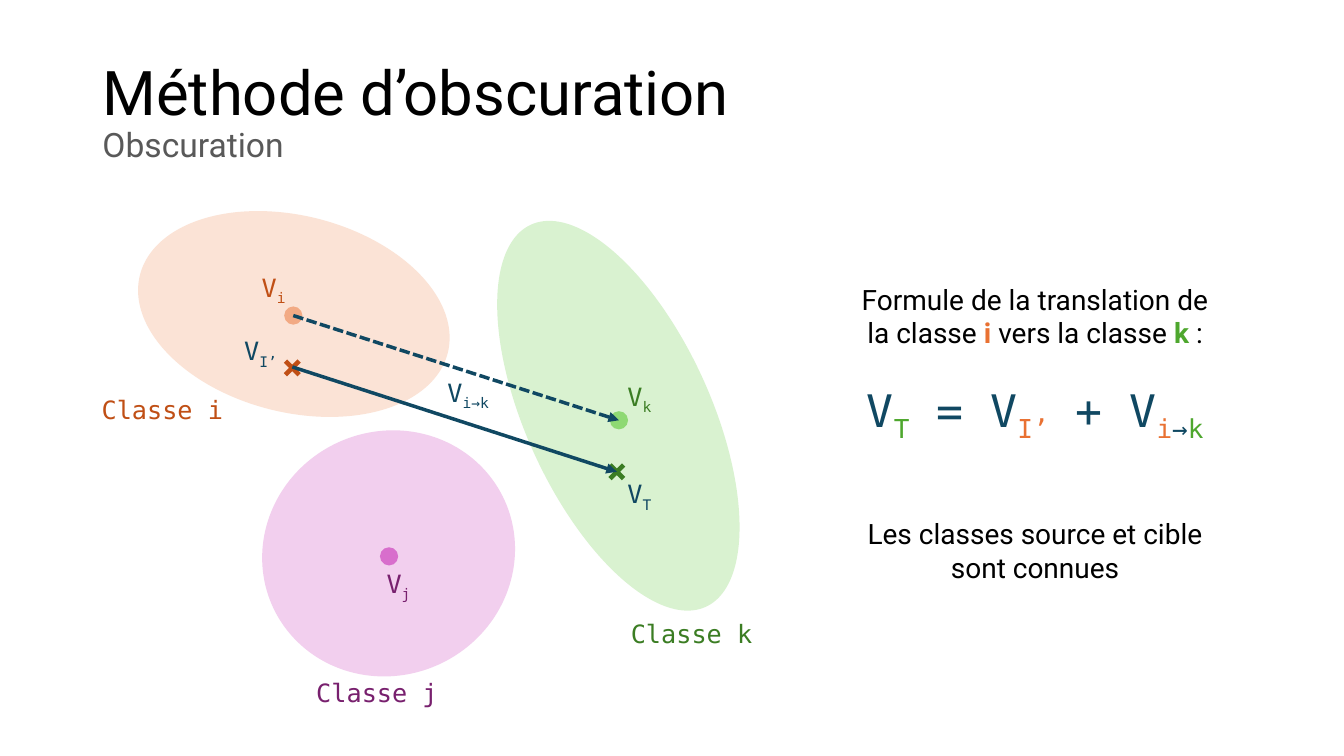
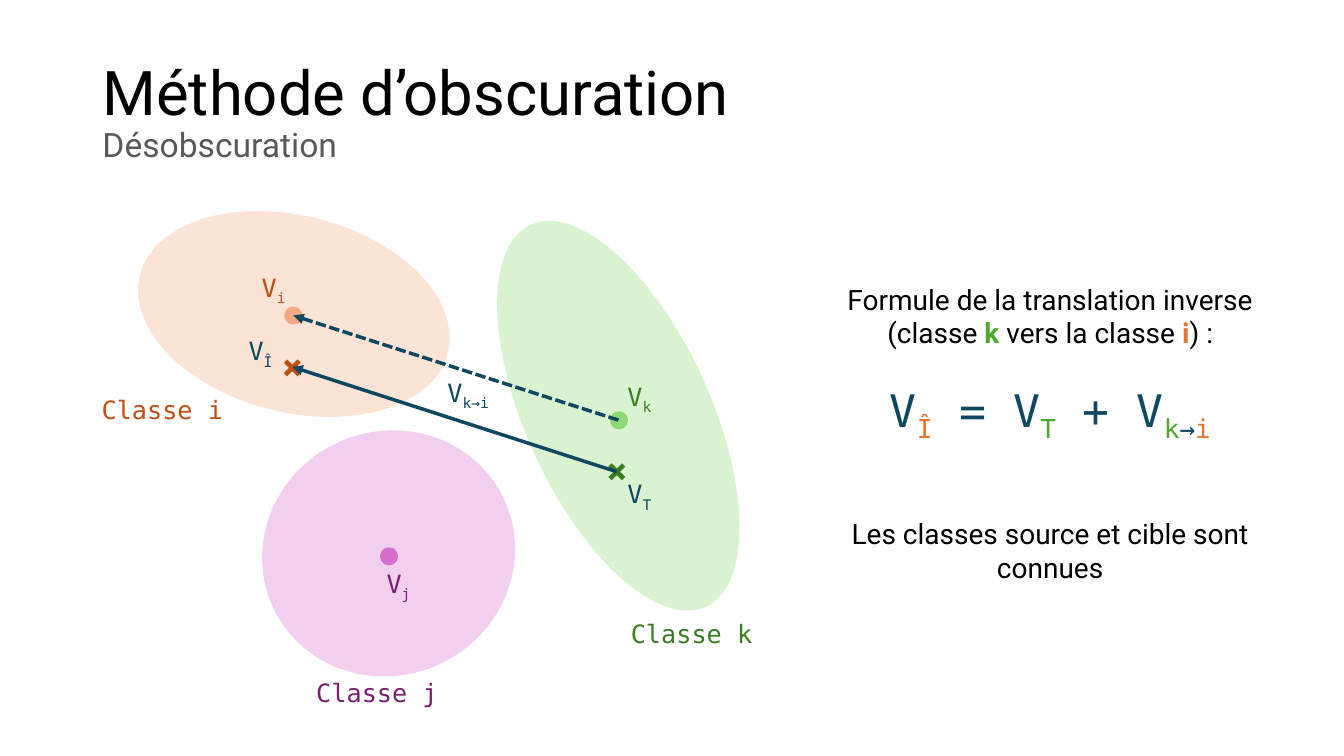
"""Build two slides on moving vectors between classes."""
import pptx
import pptx.dml.color
import pptx.enum.dml
import pptx.enum.shapes
import pptx.enum.text
import pptx.oxml
import pptx.oxml.ns
import pptx.util

Pt = pptx.util.Pt
Color = pptx.dml.color.RGBColor
Kind = pptx.enum.shapes.MSO_SHAPE
Align = pptx.enum.text.PP_ALIGN
Fit = pptx.enum.text.MSO_AUTO_SIZE

BLACK = Color(0x00, 0x00, 0x00)
GREY = Color(0x59, 0x59, 0x59)
NAVY = Color(0x10, 0x48, 0x62)
ORANGE = Color(0xE9, 0x71, 0x32)
RUST = Color(0xC0, 0x4F, 0x15)
PEACH = Color(0xF2, 0xAA, 0x84)
CREAM = Color(0xFB, 0xE3, 0xD6)
GREEN = Color(0x4E, 0xA7, 0x2E)
MOSS = Color(0x3B, 0x7D, 0x23)
LIME = Color(0x8E, 0xD9, 0x73)
MINT = Color(0xD9, 0xF2, 0xD0)
PLUM = Color(0x78, 0x20, 0x6E)
PINK = Color(0xD8, 0x6E, 0xCC)
ROSE = Color(0xF2, 0xCF, 0xEE)

SANS = "Roboto"
MONO = "DejaVu Sans Mono"
HUES = {"i": ORANGE, "k": GREEN}

# name, zone box, turn, zone fill, dot centre, dot fill, ink, vector label, class label
CLASSES = [
    ("i", (96.5, 154.1, 226.8, 140.4), 14.2, CREAM, (209.5, 225.4), PEACH,
     RUST, (164.2, 190.8), (59.8, 277.9)),
    ("j", (186.5, 308.2, 182.2, 174.2), 333.6, ROSE, (277.9, 397.4), PINK,
     PLUM, (253.4, 402.5), (213.1, 480.2)),
    ("k", (291.6, 231.1, 300.2, 131.8), 65.4, MINT, (442.1, 300.2), LIME,
     MOSS, (425.5, 268.6), (437.8, 437.8)),
]


def write(par, text, font=SANS, size=20, color=BLACK, bold=False, sub=False):
    """Add a formatted run to a paragraph."""
    run = par.add_run()
    run.text = text
    run.font.name = font
    run.font.size = Pt(size)
    run.font.color.rgb = color
    run.font.bold = bold
    if sub:
        run.font._element.set("baseline", "-25000")


class Deck:
    """Hold the style and the current slide."""

    def __init__(self):
        """Open an empty wide deck."""
        self.show = pptx.Presentation()
        self.show.slide_width, self.show.slide_height = Pt(960), Pt(540)
        self.slide = None

    def start(self, title, under):
        """Add a slide with a title and a subtitle line."""
        self.slide = self.show.slides.add_slide(self.show.slide_layouts[5])
        head = self.slide.shapes.title
        head.left, head.top, head.width, head.height = map(Pt, (66, 28.8, 828, 104.4))
        frame = head.text_frame
        frame.auto_size = Fit.NONE
        frame.vertical_anchor = pptx.enum.text.MSO_ANCHOR.MIDDLE
        par = frame.paragraphs[0]
        par.alignment, par.line_spacing = Align.LEFT, 0.9
        write(par, title, size=44)
        par.add_line_break()
        write(par, under, size=24, color=GREY)

    def shape(self, kind, box, fill, turn=0):
        """Add a plain filled shape."""
        item = self.slide.shapes.add_shape(kind, *map(Pt, box))
        item.shadow.inherit = False
        item.fill.solid()
        item.fill.fore_color.rgb = fill
        item.line.fill.background()
        item.rotation = turn
        return item

    def dot(self, mid, fill):
        """Add a round point about its centre."""
        self.shape(Kind.OVAL, (mid[0] - 6.5, mid[1] - 6.5, 13, 13), fill)

    def cross(self, mid, fill):
        """Add a cross about its centre."""
        box = (mid[0] - 9.4, mid[1] - 9.4, 18.8, 18.8)
        self.shape(Kind.MATH_MULTIPLY, box, fill).adjustments[0] = 0.18

    def arrow(self, start, stop, end, dash=False):
        """Add a line with its arrowhead at the named end."""
        line = self.slide.shapes.add_connector(
            pptx.enum.shapes.MSO_CONNECTOR.STRAIGHT, *map(Pt, start + stop))
        line.line.color.rgb = NAVY
        line.line.width = Pt(2.5)
        if dash:
            line.line.dash_style = pptx.enum.dml.MSO_LINE.SQUARE_DOT
        props = line._element.spPr
        tip = pptx.oxml.parse_xml(
            f'<a:{end} {pptx.oxml.ns.nsdecls("a")} type="triangle"/>')
        line.line._get_or_add_ln().append(tip)
        props.append(pptx.oxml.parse_xml(
            f'<a:effectLst {pptx.oxml.ns.nsdecls("a")}/>'))

    def text(self, box, lines):
        """Add centred lines, each a gap before and a list of runs."""
        frame = self.slide.shapes.add_textbox(*map(Pt, box)).text_frame
        frame.word_wrap = True
        frame.auto_size = Fit.SHAPE_TO_FIT_TEXT
        for pos, (gap, runs) in enumerate(lines):
            par = frame.add_paragraph() if pos else frame.paragraphs[0]
            par.alignment = Align.CENTER
            if gap:
                par.space_before = Pt(gap)
            for words, style in runs:
                write(par, words, **style)

    def label(self, spot, base, sub="", color=NAVY, width=62.6):
        """Add a short label with an optional subscript."""
        style = {"font": MONO, "size": 18, "color": color}
        runs = [(base, style)]
        if sub:
            runs.append((sub, {**style, "sub": True}))
        self.text((*spot, width, 29.1), [(0, runs)])

    def plot(self, end, near, move):
        """Draw the classes, their vectors and the shift between them."""
        for _, box, turn, fill, *_ in CLASSES:
            self.shape(Kind.OVAL, box, fill, turn)
        for _, _, _, _, mid, fill, *_ in CLASSES:
            self.dot(mid, fill)
        self.arrow((209.5, 225.4), (442.1, 300.2), end, dash=True)
        self.cross((440.6, 337), MOSS)
        self.cross((208.8, 262.8), RUST)
        self.arrow((208.8, 262.1), (440.6, 337), end)
        for name, *_, ink, spot, place in CLASSES:
            self.label(spot, "V", name, ink)
            self.label(place, f"Classe {name}", color=ink, width=112.3)
        self.label((303.1, 265.7), "V", move)
        self.label((154.8, 236.2), "V", near)
        self.label((425.5, 338.4), "V", "T")

    def panel(self, left, width, words, src, dst, old, new):
        """Add the formula that takes old in src to new in dst."""
        big = {"font": MONO, "size": 32, "color": NAVY}

        def low(text, color=NAVY):
            """Give a subscript run of the formula."""
            return text, {**big, "color": color, "sub": True}

        def mark(name):
            """Give a bold class name."""
            return name, {"color": HUES[name], "bold": True}

        intro, close = words
        lead = [(intro, {}), mark(src), (" vers la classe ", {}), mark(dst), (close, {})]
        sums = [("V", big), low(new, HUES[dst]), (" = V", big), low(old, HUES[src]),
                (" + V", big), low(src, HUES[src]), low("→"), low(dst, HUES[dst])]
        note = [("Les classes source et cible sont connues", {})]
        self.text((left, 198, width, 205.2), [(0, lead), (24, sums), (52, note)])


def main():
    """Build and save the deck."""
    deck = Deck()
    title = "Méthode d’obscuration"
    deck.start(title, "Obscuration")
    deck.plot("tailEnd", "I’", "i→k")
    deck.panel(602.6, 273.6, ("Formule de la translation de la classe ", " :"),
               "i", "k", "I’", "T")
    deck.start(title, "Désobscuration")
    deck.plot("headEnd", "Î", "k→i")
    deck.panel(588.2, 324, ("Formule de la translation inverse (classe ", ") :"),
               "k", "i", "T", "Î")
    deck.show.save("out.pptx")


if __name__ == "__main__":
    main()
